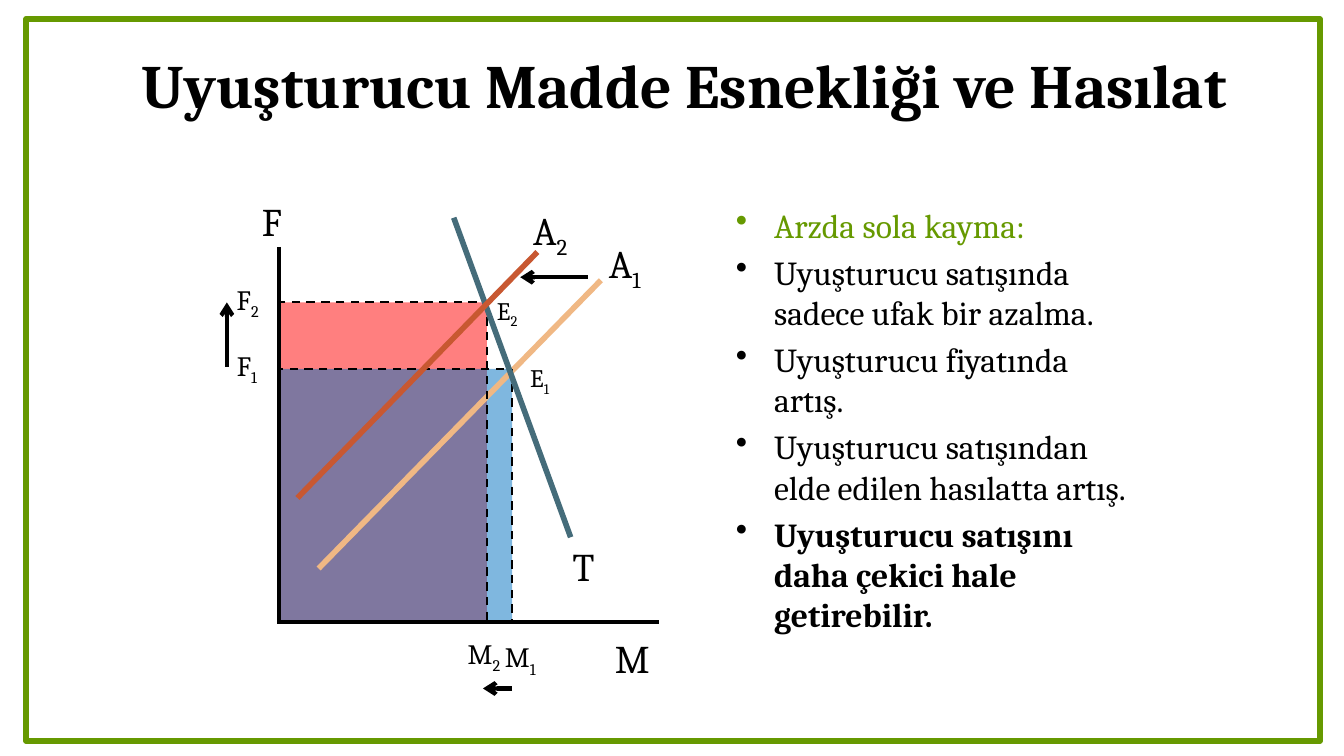
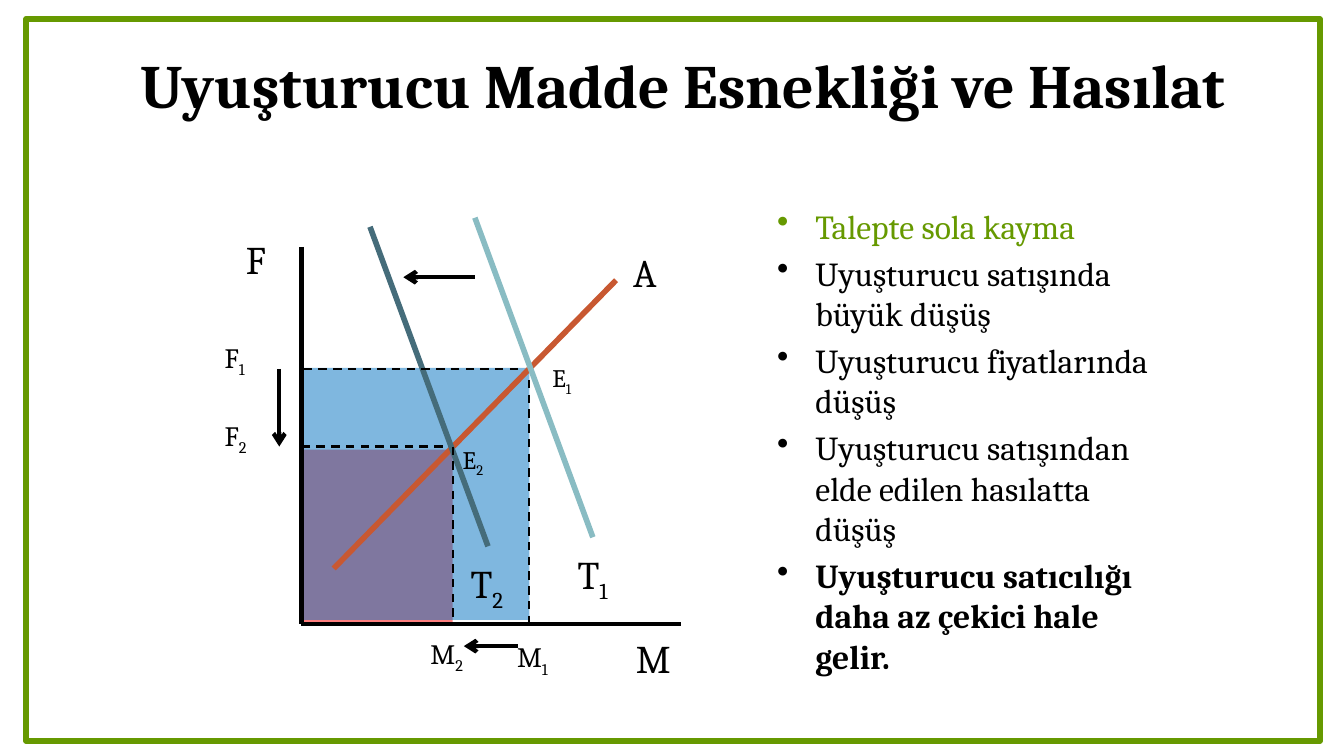
"""Build two slides on how supply and demand shifts change drug revenue."""
import pptx
import pptx.dml.color
import pptx.enum.dml
import pptx.enum.shapes
import pptx.enum.text
import pptx.oxml
import pptx.oxml.ns
import pptx.util
from lxml import etree

PX = 9144
FONT = "Cambria"
RGB = pptx.dml.color.RGBColor
BLACK = RGB(0x00, 0x00, 0x00)
GREEN = RGB(0x66, 0x99, 0x00)
RED = RGB(0xFF, 0x00, 0x00)
BLUE = RGB(0x00, 0x70, 0xC0)
PEACH = RGB(0xF0, 0xB8, 0x84)
RUST = RGB(0xC8, 0x58, 0x31)
TEAL = RGB(0x45, 0x6C, 0x7A)
PALE_TEAL = RGB(0x89, 0xBC, 0xC3)

TITLE = "Uyuşturucu Madde Esnekliği ve Hasılat"
CURVE, AXIS, GUIDE, ARROW = "curve", "axis", "guide", "arrow"
LINE_WIDTHS = {CURVE: 4, AXIS: 3, GUIDE: 1.5, ARROW: 3}
LABEL_HEIGHTS = {28: 57, 20: 44, 18: 40}

SLIDES = [
    {
        "title": (75, 0, 1208, 166),
        "body": (720, 198, 424, 524),
        "points": [
            "Arzda sola kayma:",
            "Uyuşturucu satışında sadece ufak bir azalma.",
            "Uyuşturucu fiyatında artış.",
            "Uyuşturucu satışından elde edilen hasılatta artış.",
            "Uyuşturucu satışını daha çekici hale getirebilir.",
        ],
        "areas": [(275, 300, 208, 317, RED), (275, 366, 233, 250, BLUE)],
        "lines": [
            (AXIS, 277, 245, 277, 619, BLACK),
            (AXIS, 277, 617, 654, 617, BLACK),
            (CURVE, 316, 564, 596, 278, PEACH),
            (GUIDE, 483, 300, 483, 617, BLACK),
            (GUIDE, 500, 366, 275, 366, BLACK),
            (GUIDE, 508, 366, 508, 616, BLACK),
            (GUIDE, 473, 300, 275, 300, BLACK),
            (ARROW, 583, 275, 516, 275, BLACK),
            (ARROW, 225, 364, 225, 300, BLACK),
            (ARROW, 508, 683, 479, 683, BLACK),
            (CURVE, 450, 216, 566, 533, TEAL),
            (CURVE, 295, 494, 533, 250, RUST),
        ],
        "labels": [
            ("F", "", 28, 250, 191, 50),
            ("M", "", 28, 600, 624, 86),
            ("T", "", 28, 558, 533, 61),
            ("A", "2", 28, 519, 200, 97),
            ("A", "1", 28, 594, 233, 97),
            ("E", "2", 18, 483, 288, 75),
            ("E", "1", 18, 516, 355, 75),
            ("M", "1", 20, 491, 630, 75),
            ("M", "2", 20, 454, 627, 54),
            ("F", "1", 20, 225, 341, 58),
            ("F", "2", 20, 225, 275, 67),
        ],
    },
    {
        "title": (117, 0, 1121, 166),
        "body": (761, 199, 406, 507),
        "points": [
            "Talepte sola kayma",
            "Uyuşturucu satışında büyük düşüş",
            "Uyuşturucu fiyatlarında düşüş",
            "Uyuşturucu satışından elde edilen hasılatta düşüş",
            "Uyuşturucu satıcılığı daha az çekici hale gelir.",
        ],
        "areas": [(299, 446, 150, 175, RED), (300, 365, 225, 250, BLUE)],
        "lines": [
            (AXIS, 299, 245, 299, 619, BLACK),
            (AXIS, 299, 619, 675, 619, BLACK),
            (CURVE, 331, 564, 611, 278, RUST),
            (CURVE, 367, 225, 484, 542, TEAL),
            (GUIDE, 449, 443, 449, 619, BLACK),
            (GUIDE, 439, 443, 299, 443, BLACK),
            (GUIDE, 525, 377, 525, 619, BLACK),
            (GUIDE, 514, 366, 299, 366, BLACK),
            (ARROW, 471, 275, 400, 275, BLACK),
            (ARROW, 277, 366, 277, 443, BLACK),
            (ARROW, 514, 641, 460, 641, BLACK),
            (CURVE, 471, 216, 588, 533, PALE_TEAL),
        ],
        "labels": [
            ("F", "", 28, 234, 229, 86),
            ("M", "", 28, 621, 624, 86),
            ("A", "", 28, 618, 241, 61),
            ("T", "2", 28, 457, 550, 97),
            ("T", "1", 28, 563, 541, 97),
            ("E", "2", 18, 449, 436, 75),
            ("E", "1", 18, 538, 355, 75),
            ("M", "1", 20, 503, 630, 75),
            ("M", "2", 20, 417, 627, 75),
            ("F", "1", 20, 213, 333, 75),
            ("F", "2", 20, 213, 410, 75),
        ],
    },
]


def add_text_frame(page, left, top, width, height):
    box = page.shapes.add_textbox(left * PX, top * PX, width * PX, height * PX)
    box.text_frame.word_wrap = True
    return box.text_frame


def add_span(para, text, size, color=BLACK, bold=False):
    span = para.add_run()
    span.text = text
    span.font.name = FONT
    span.font.size = pptx.util.Pt(size)
    span.font.bold = bold
    span.font.color.rgb = color
    return span


deck = pptx.Presentation()
deck.slide_width = 1333 * PX
deck.slide_height = 750 * PX
RECTANGLE = pptx.enum.shapes.MSO_SHAPE.RECTANGLE

for content in SLIDES:
    page = deck.slides.add_slide(deck.slide_layouts[6])

    border = page.shapes.add_shape(RECTANGLE, 26 * PX, 19 * PX, 1283 * PX, 716 * PX)
    border.shadow.inherit = False
    border.fill.background()
    border.line.color.rgb = GREEN
    border.line.width = pptx.util.Pt(4.5)

    title_frame = add_text_frame(page, *content["title"])
    title_frame.vertical_anchor = pptx.enum.text.MSO_ANCHOR.MIDDLE
    title_para = title_frame.paragraphs[0]
    title_para.alignment = pptx.enum.text.PP_ALIGN.CENTER
    add_span(title_para, TITLE, 44, bold=True)

    body_frame = add_text_frame(page, *content["body"])
    last = len(content["points"]) - 1
    for index, point in enumerate(content["points"]):
        para = body_frame.add_paragraph() if index else body_frame.paragraphs[0]
        properties = para._p.get_or_add_pPr()
        properties.set("marL", str(38 * PX))
        properties.set("indent", str(-38 * PX))
        bullet = etree.SubElement(properties, pptx.oxml.ns.qn("a:buChar"))
        bullet.set("char", "•")
        para.space_before = pptx.util.Pt(4.8 if index else 0)
        add_span(para, point, 24, BLACK if index else GREEN, index == last)

    for left, top, width, height, color in content["areas"]:
        area = page.shapes.add_shape(RECTANGLE, left * PX, top * PX, width * PX, height * PX)
        area.shadow.inherit = False
        area.fill.solid()
        area.fill.fore_color.rgb = color
        area.line.fill.background()
        fill_color = area._element.spPr.find(".//" + pptx.oxml.ns.qn("a:srgbClr"))
        etree.SubElement(fill_color, pptx.oxml.ns.qn("a:alpha")).set("val", "50000")

    for kind, start_x, start_y, end_x, end_y, color in content["lines"]:
        line = page.shapes.add_connector(
            pptx.enum.shapes.MSO_CONNECTOR.STRAIGHT,
            start_x * PX, start_y * PX, end_x * PX, end_y * PX,
        )
        line.line.color.rgb = color
        line.line.width = pptx.util.Pt(LINE_WIDTHS[kind])
        if kind == GUIDE:
            line.line.dash_style = pptx.enum.dml.MSO_LINE.DASH
        if kind == ARROW:
            outline = line.line._get_or_add_ln()
            etree.SubElement(outline, pptx.oxml.ns.qn("a:tailEnd")).set("type", "arrow")
        etree.SubElement(line._element.spPr, pptx.oxml.ns.qn("a:effectLst"))

    for letter, subscript, size, left, top, width in content["labels"]:
        label_frame = add_text_frame(page, left, top, width, LABEL_HEIGHTS[size])
        label_frame.auto_size = pptx.enum.text.MSO_AUTO_SIZE.SHAPE_TO_FIT_TEXT
        label_para = label_frame.paragraphs[0]
        add_span(label_para, letter, size)
        if subscript:
            span = add_span(label_para, subscript, size)
            span._r.get_or_add_rPr().set("baseline", "-25000")

deck.save("out.pptx")
